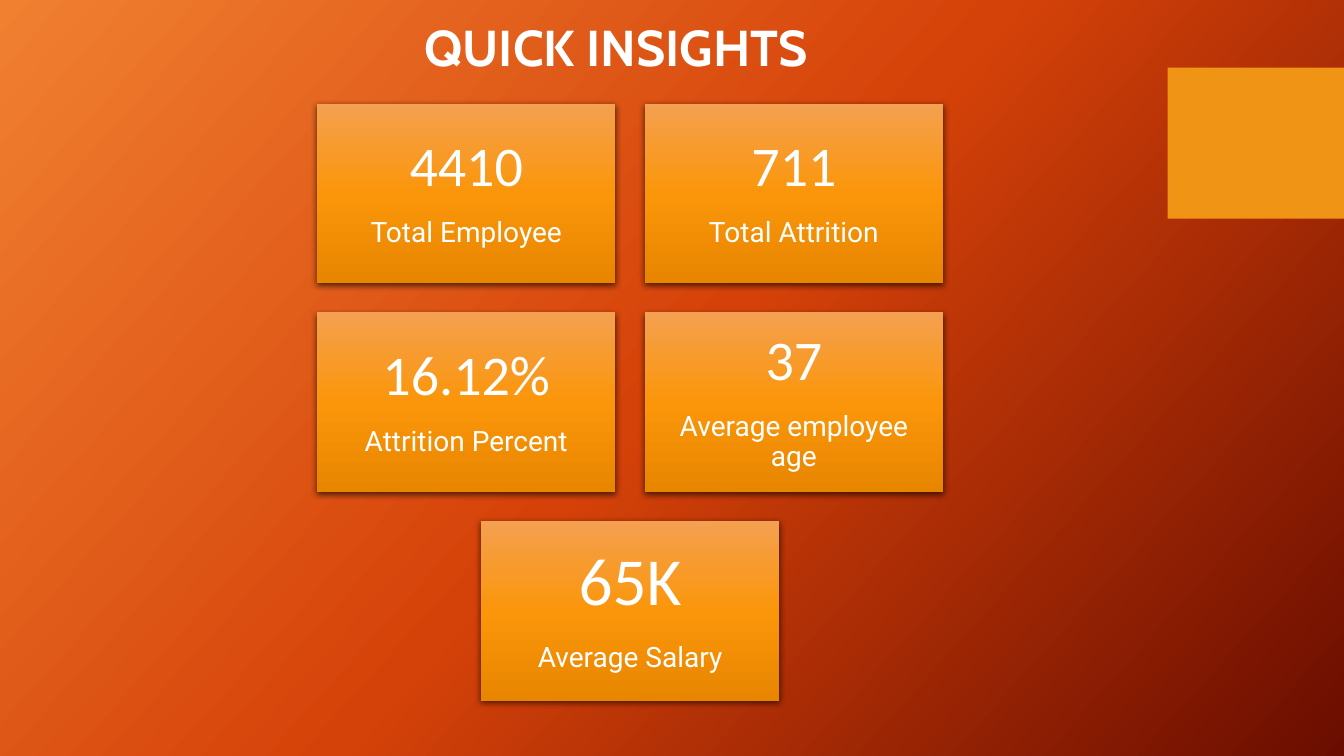
from lxml import etree
from pptx import Presentation
from pptx.dml.color import RGBColor
from pptx.enum.shapes import MSO_SHAPE
from pptx.enum.text import MSO_ANCHOR, MSO_AUTO_SIZE, PP_ALIGN
from pptx.oxml.ns import qn
from pptx.util import Inches, Pt

RECTANGLE = MSO_SHAPE.RECTANGLE
MIDDLE, TOP = MSO_ANCHOR.MIDDLE, MSO_ANCHOR.TOP
CENTER, LEFT = PP_ALIGN.CENTER, PP_ALIGN.LEFT
GROW = MSO_AUTO_SIZE.SHAPE_TO_FIT_TEXT

# Content: rows of (value, label, value size, inset)
TITLE = "QUICK INSIGHTS"
INSIGHT_ROWS = [
    [("4410", "Total Employee", 40, 0.17), ("711", "Total Attrition", 40, 0.17)],
    [("16.12%", "Attrition Percent", 40, 0.17), ("37", "Average employee age", 40, 0.17)],
    [("65K", "Average Salary", 48, 0.2)],
]
COLORS = {"accent": "F09415", "text": "FFFFFF", "shadow": "000000"}
BACKGROUND_STOPS = [(0, "F18031"), (50, "D54209"), (100, "6A0D00")]
CARD_STOPS = [(0, "F4A050"), (50, "FB960A"), (100, "E88600")]

# Layout
SLIDE_W, SLIDE_H = 13.33, 7.5
CARD_W, CARD_H = 2.96, 1.78
GAP = 0.29
GRID_CENTER, GRID_TOP = 6.25, 1.03


def add_xml(parent, tag, **attributes):
    return etree.SubElement(parent, qn(tag), attributes)


def set_gradient(fill, element, stops, clockwise_angle):
    fill.gradient()
    fill.gradient_angle = 360 - clockwise_angle
    stop_list = next(element.iter(qn("a:gsLst")))
    for old_stop in list(stop_list):
        stop_list.remove(old_stop)
    for position, color in stops:
        stop = add_xml(stop_list, "a:gs", pos=str(position * 1000))
        add_xml(stop, "a:srgbClr", val=color)


def set_shadow(shape):
    shape.shadow.inherit = False
    effects = shape.element.spPr.find(qn("a:effectLst"))
    shadow = add_xml(effects, "a:outerShdw", blurRad=str(Pt(4.5)), dist=str(Pt(1.5)),
                     dir="5400000", algn="ctr", rotWithShape="0")
    color = add_xml(shadow, "a:srgbClr", val=COLORS["shadow"])
    add_xml(color, "a:alpha", val="63000")


def format_run(run, font_name, size, bold=False):
    run.font.name = font_name
    run.font.size = Pt(size)
    run.font.bold = bold
    run.font.color.rgb = RGBColor.from_string(COLORS["text"])


def add_card(slide, left, top, value, label, value_size, inset):
    card = slide.shapes.add_shape(RECTANGLE, Inches(left), Inches(top),
                                  Inches(CARD_W), Inches(CARD_H))
    set_gradient(card.fill, card.element, CARD_STOPS, 90)
    card.line.fill.background()
    set_shadow(card)
    frame = card.text_frame
    frame.word_wrap = True
    frame.vertical_anchor = MIDDLE
    frame.margin_left = frame.margin_right = Inches(inset)
    frame.margin_top = frame.margin_bottom = Inches(inset)
    frame.text = f"{value}\n{label}"
    styles = [("Calibri", value_size), ("Roboto", 20)]
    for paragraph, (font_name, size) in zip(frame.paragraphs, styles):
        paragraph.alignment = CENTER
        paragraph.line_spacing = 0.9
        paragraph.space_after = Pt(0.35 * size)
        format_run(paragraph.runs[0], font_name, size)


prs = Presentation()
prs.slide_width, prs.slide_height = Inches(SLIDE_W), Inches(SLIDE_H)
slide = prs.slides.add_slide(prs.slide_layouts[5])
set_gradient(slide.background.fill, slide.element, BACKGROUND_STOPS, 42)

# Accent block at the right edge
accent = slide.shapes.add_shape(RECTANGLE, Inches(11.58), Inches(0.67),
                                Inches(1.75), Inches(1.5))
accent.fill.solid()
accent.fill.fore_color.rgb = RGBColor.from_string(COLORS["accent"])
accent.line.fill.background()
accent.shadow.inherit = False

# Insight cards, each row centred
for row_index, row in enumerate(INSIGHT_ROWS):
    row_width = len(row) * CARD_W + (len(row) - 1) * GAP
    top = GRID_TOP + row_index * (CARD_H + GAP)
    for column, insight in enumerate(row):
        left = GRID_CENTER - row_width / 2 + column * (CARD_W + GAP)
        add_card(slide, left, top, *insight)

# Title
title = slide.shapes.title
title.left, title.top = Inches(4.11), Inches(0.11)
title.width, title.height = Inches(4.72), Inches(0.71)
title.text_frame.text = TITLE
title.text_frame.word_wrap = True
title.text_frame.auto_size = GROW
title.text_frame.vertical_anchor = TOP
heading = title.text_frame.paragraphs[0]
heading.alignment = LEFT
format_run(heading.runs[0], "Cabin", 36, bold=True)

prs.save("out.pptx")
